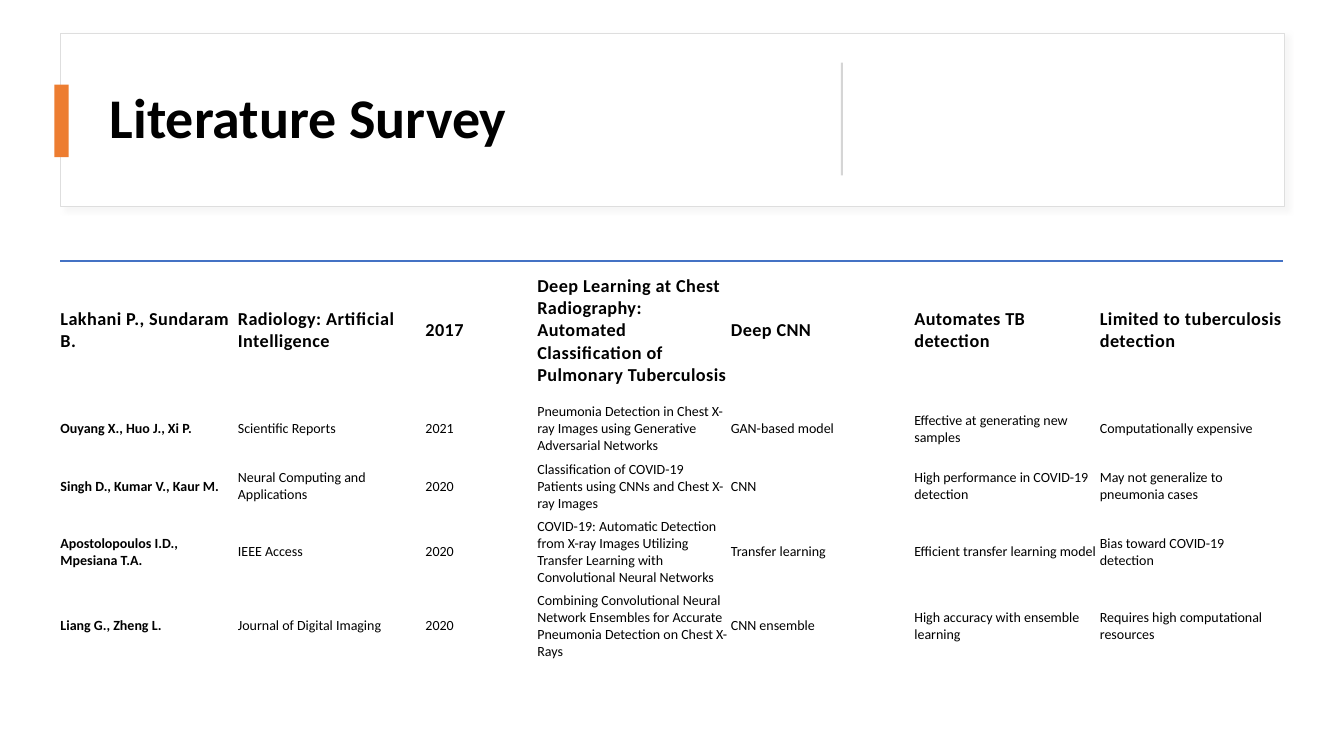
from lxml.etree import SubElement
from pptx import Presentation
from pptx.dml.color import RGBColor
from pptx.enum.shapes import MSO_SHAPE
from pptx.enum.text import MSO_ANCHOR, MSO_AUTO_SIZE, PP_ALIGN
from pptx.oxml import parse_xml
from pptx.oxml.ns import nsdecls, qn
from pptx.util import Inches, Pt

COLORS = {
    "card": "FFFFFF",
    "card_line": "DEDEDE",
    "shadow": "C5C3C3",
    "accent": "ED7D31",
    "divider": "D5D5D5",
    "rule": "4472C4",
    "text": "000000",
}
FONT = "Calibri"
PLAIN_TABLE_STYLE = "{2D5ABB26-0587-4C30-8999-92F81FD0307C}"
COLUMN_WIDTHS = [1.76, 1.86, 1.11, 1.92, 1.82, 1.84, 1.82]
ROW_HEIGHTS = [1.38, 0.57, 0.57, 0.73, 0.73]
PAPERS = [
    ["Lakhani P., Sundaram B.", "Radiology: Artificial Intelligence", "2017",
     "Deep Learning at Chest Radiography: Automated Classification of Pulmonary Tuberculosis",
     "Deep CNN", "Automates TB detection", "Limited to tuberculosis detection"],
    ["Ouyang X., Huo J., Xi P.", "Scientific Reports", "2021",
     "Pneumonia Detection in Chest X-ray Images using Generative Adversarial Networks",
     "GAN-based model", "Effective at generating new samples", "Computationally expensive"],
    ["Singh D., Kumar V., Kaur M.", "Neural Computing and Applications", "2020",
     "Classification of COVID-19 Patients using CNNs and Chest X-ray Images",
     "CNN", "High performance in COVID-19 detection", "May not generalize to pneumonia cases"],
    ["Apostolopoulos I.D., Mpesiana T.A.", "IEEE Access", "2020",
     "COVID-19: Automatic Detection from X-ray Images Utilizing Transfer Learning "
     "with Convolutional Neural Networks",
     "Transfer learning", "Efficient transfer learning model", "Bias toward COVID-19 detection"],
    ["Liang G., Zheng L.", "Journal of Digital Imaging", "2020",
     "Combining Convolutional Neural Network Ensembles for Accurate Pneumonia Detection "
     "on Chest X-Rays",
     "CNN ensemble", "High accuracy with ensemble learning",
     "Requires high computational resources"],
]


def color(name):
    return RGBColor.from_string(COLORS[name])


def format_font(font, size, bold):
    for name, value in {"name": FONT, "size": Pt(size), "bold": bold}.items():
        setattr(font, name, value)
    font.color.rgb = color("text")


def add_block(page, left, top, width, height, fill):
    """Add a plain filled rectangle without outline or shadow."""
    block = page.shapes.add_shape(
        MSO_SHAPE.RECTANGLE, Inches(left), Inches(top), Inches(width), Inches(height))
    block.shadow.inherit = False
    block.fill.solid()
    block.fill.fore_color.rgb = color(fill)
    block.line.fill.background()
    return block


def add_soft_shadow(shape):
    effects = shape.element.spPr.find(qn("a:effectLst"))
    effects.append(parse_xml(
        f'<a:outerShdw {nsdecls("a")} blurRad="{Pt(4)}" dist="{Pt(3)}" dir="2700000" '
        f'algn="tl" rotWithShape="0"><a:srgbClr val="{COLORS["shadow"]}">'
        '<a:alpha val="15000"/></a:srgbClr></a:outerShdw>'))


def add_header(page, left, top, width, height):
    card = add_block(page, left, top, width, height, "card")
    card.line.color.rgb = color("card_line")
    card.line.width = Pt(1)
    add_soft_shadow(card)

    title = page.shapes.title
    title.element.addprevious(card.element)
    title.left, title.top = Inches(left + 0.39), Inches(top + 0.11)
    title.width, title.height = Inches(7.03), Inches(1.5)
    frame = title.text_frame
    frame.text = "Literature Survey"
    frame.word_wrap = True
    frame.auto_size = MSO_AUTO_SIZE.NONE
    frame.vertical_anchor = MSO_ANCHOR.MIDDLE
    para = frame.paragraphs[0]
    para.alignment = PP_ALIGN.LEFT
    para.line_spacing = 0.9
    format_font(para.runs[0].font, 40, True)

    add_block(page, left - 0.06, top + 0.51, 0.14, 0.72, "accent")
    add_block(page, left + 7.74, top + 0.29, 0.02, 1.12, "divider")


def add_top_rule(cell):
    properties = cell.fill._xPr
    line = SubElement(properties, qn("a:lnT"), w=str(Pt(1.5)))
    properties.insert(0, line)
    fill = SubElement(line, qn("a:solidFill"))
    SubElement(fill, qn("a:srgbClr"), val=COLORS["rule"])


def fill_cell(cell, text, is_lead, is_author):
    cell.text = text
    margins = {
        "margin_left": 0,
        "margin_top": Inches(0.03),
        "margin_right": Inches(0.01 if is_lead else 0.03),
        "margin_bottom": Inches(0.03),
        "vertical_anchor": MSO_ANCHOR.MIDDLE,
    }
    for name, value in margins.items():
        setattr(cell, name, value)
    cell.fill.background()
    span = cell.text_frame.paragraphs[0].runs[0]
    format_font(span.font, 13 if is_lead else 10, is_lead or is_author)
    if is_lead:
        span._r.get_or_add_rPr().set("spc", "30")
        add_top_rule(cell)


def add_survey_table(page, left, top, width, height):
    frame = page.shapes.add_table(
        len(PAPERS), len(COLUMN_WIDTHS),
        Inches(left), Inches(top), Inches(width), Inches(height))
    for style in frame.element.iter(qn("a:tableStyleId")):
        style.text = PLAIN_TABLE_STYLE
    table = frame.table
    table.first_row = table.horz_banding = False
    for column, size in zip(table.columns, COLUMN_WIDTHS):
        column.width = Inches(size)
    for row, size in zip(table.rows, ROW_HEIGHTS):
        row.height = Inches(size)
    for row_index, paper in enumerate(PAPERS):
        for column_index, text in enumerate(paper):
            fill_cell(table.cell(row_index, column_index), text,
                      is_lead=row_index == 0, is_author=column_index == 0)


def main():
    deck = Presentation()
    deck.slide_width, deck.slide_height = Inches(13.33), Inches(7.5)
    page = deck.slides.add_slide(deck.slide_layouts[5])
    add_header(page, 0.6, 0.33, 12.14, 1.72)
    add_survey_table(page, 0.6, 2.59, 12.14, 3.99)
    deck.save("out.pptx")


if __name__ == "__main__":
    main()
